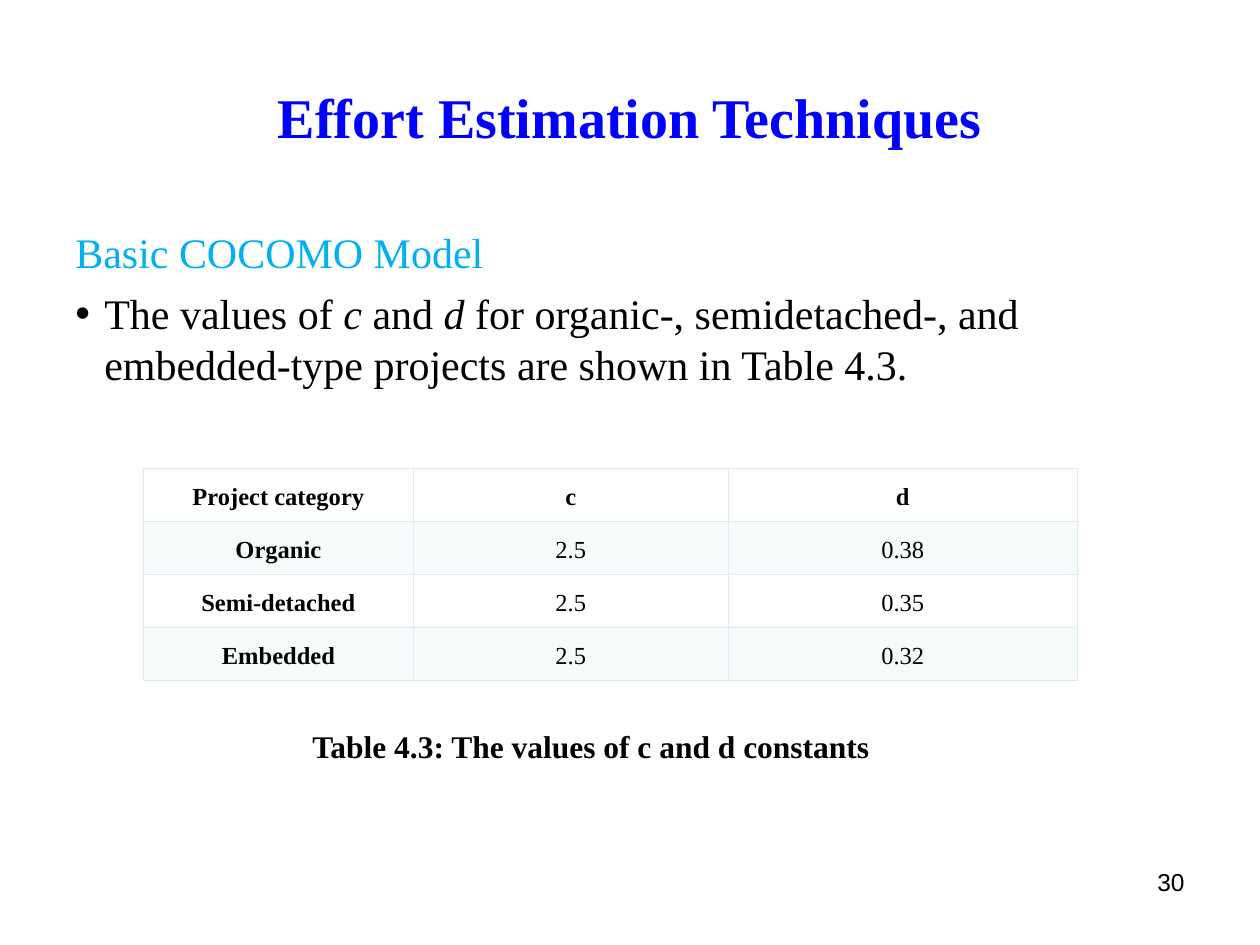
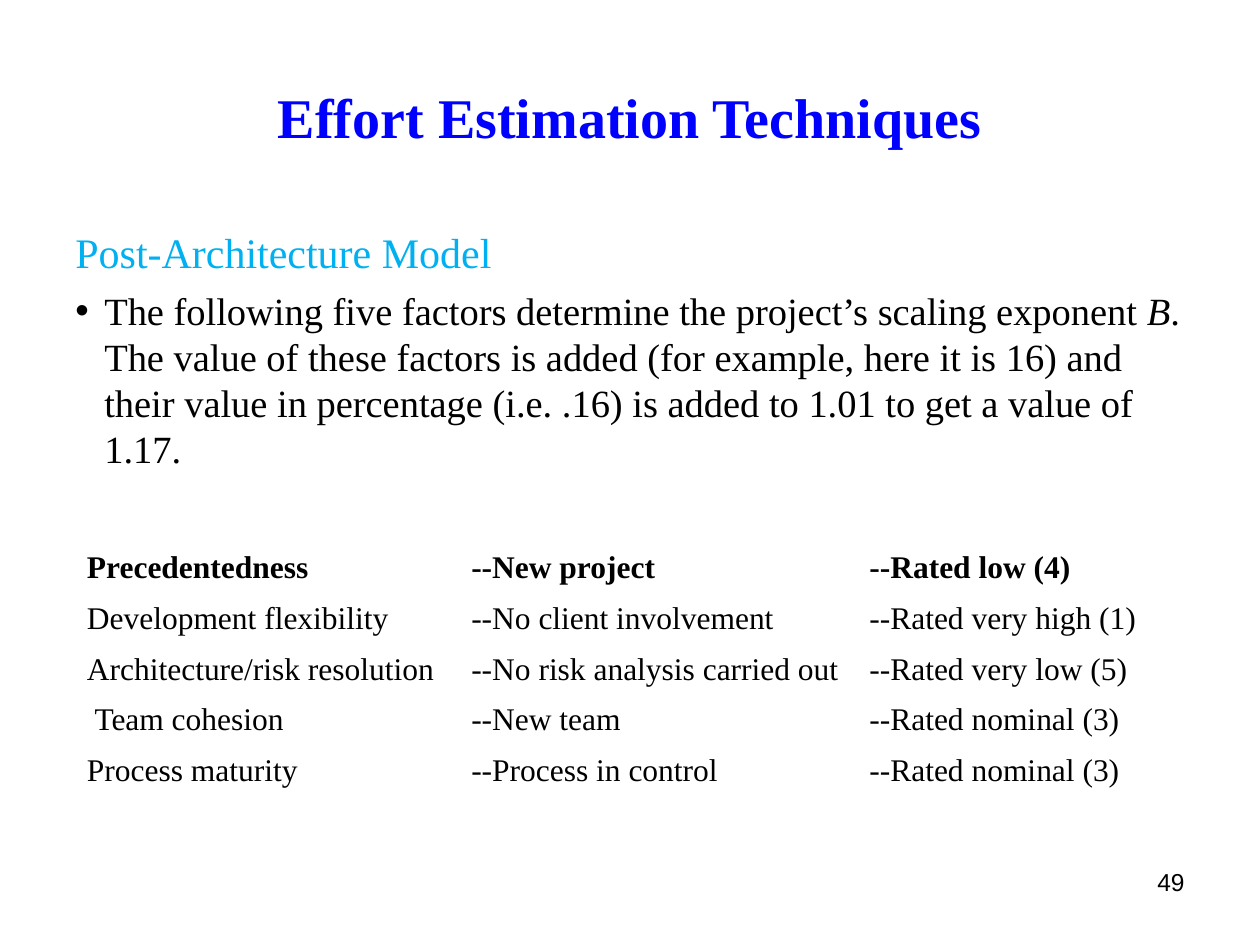
from lxml.etree import SubElement
from pptx import Presentation
from pptx.dml.color import RGBColor
from pptx.enum.text import MSO_ANCHOR, PP_ALIGN
from pptx.oxml.ns import qn
from pptx.util import Inches, Pt

SERIF, SANS = "Times New Roman", "Arial"
COLORS = {"title": "0000FF", "heading": "00B0F0", "text": "000000",
          "border": "DAEDEF", "band": "F8FBFC"}
TITLE = "Effort Estimation Techniques"
LINE_HEIGHT = 1.2
BULLET_INDENT = Inches(0.23)

# Runs are (text, italic).
SLIDES = [
    {
        "heading": "Basic COCOMO Model",
        "bullet": [("The values of ", False), ("c", True), (" and ", False), ("d", True),
                   (" for organic-, semidetached-, and embedded-type projects"
                    " are shown in Table 4.3.", False)],
        "bullet_size": 24,
        "bullet_gap": 6,
        "table": {
            "rows": [("Project category", "c", "d"),
                     ("Organic", "2.5", "0.38"),
                     ("Semi-detached", "2.5", "0.35"),
                     ("Embedded", "2.5", "0.32")],
            "left": 1.14, "top": 3.72, "widths": (2.14, 2.5, 2.77), "row_height": 0.42,
            "size": 14, "align": PP_ALIGN.CENTER, "spacing": 1.15, "margin": 0.08,
            "ruled": True, "bold_first_column": True, "indents": {},
        },
        "caption": "Table 4.3: The values of c and d constants",
        "number": "30",
    },
    {
        "heading": "Post-Architecture Model",
        "bullet": [("The following five factors determine the project’s scaling exponent ", False),
                   ("B", True),
                   (". The value of these factors is added (for example, here it is 16) and"
                    " their value in percentage (i.e. .16) is added to 1.01 to get"
                    " a value of 1.17.", False)],
        "bullet_size": 22,
        "bullet_gap": 5.5,
        "table": {
            "rows": [("Precedentedness", "--New project", "--Rated low (4)"),
                     ("Development flexibility", "--No client involvement", "--Rated very high (1)"),
                     ("Architecture/risk resolution", "--No risk analysis carried out",
                      "--Rated very low (5)"),
                     ("Team cohesion", "--New team", "--Rated nominal (3)"),
                     ("Process maturity", "--Process in control", "--Rated nominal (3)")],
            "left": 0.59, "top": 4.3, "widths": (3.05, 3.16, 2.93), "row_height": 0.405,
            "size": 18, "align": PP_ALIGN.LEFT, "spacing": 1.0, "margin": 0.1,
            "ruled": False, "bold_first_column": False, "indents": {(3, 0): 0.06},
        },
        "caption": None,
        "number": "49",
    },
]


def add_run(paragraph, text, size, color="text", font=SERIF, bold=False, italic=False):
    run = paragraph.add_run()
    run.text = text
    run.font.size = Pt(size)
    run.font.name = font
    run.font.bold = bold
    run.font.italic = italic
    run.font.color.rgb = RGBColor.from_string(COLORS[color])


def add_text_frame(slide, left, top, width, height, wrap=True):
    box = slide.shapes.add_textbox(Inches(left), Inches(top), Inches(width), Inches(height))
    box.text_frame.word_wrap = wrap
    return box.text_frame


def set_bullet(paragraph):
    properties = paragraph._p.get_or_add_pPr()
    properties.set("marL", str(BULLET_INDENT))
    properties.set("indent", str(-BULLET_INDENT))
    SubElement(properties, qn("a:buFont"), typeface=SANS)
    SubElement(properties, qn("a:buChar"), char="•")


def add_title(slide):
    title = slide.shapes.title
    title.left, title.top = Inches(0.5), Inches(0.3)
    title.width, title.height = Inches(9), Inches(1.25)
    title.text_frame.vertical_anchor = MSO_ANCHOR.MIDDLE
    paragraph = title.text_frame.paragraphs[0]
    paragraph.alignment = PP_ALIGN.CENTER
    add_run(paragraph, TITLE, 32, "title", bold=True)


def add_body(slide, content):
    frame = add_text_frame(slide, 0.5, 1.75, 9, 4.95)
    heading = frame.paragraphs[0]
    heading.line_spacing = Pt(24 * LINE_HEIGHT)
    add_run(heading, content["heading"], 24, "heading")

    size = content["bullet_size"]
    bullet = frame.add_paragraph()
    set_bullet(bullet)
    bullet.space_before = Pt(content["bullet_gap"])
    bullet.line_spacing = Pt(size * LINE_HEIGHT)
    for text, italic in content["bullet"]:
        add_run(bullet, text, size, italic=italic)


def set_borders(cell, row):
    """Rule all four sides, with a heavier line under the header row."""
    heavy_side = {0: "B", 1: "T"}.get(row)
    for side in "LRTB":
        width = Pt(0.96 if side == heavy_side else 0.45)
        line = SubElement(cell._tc.get_or_add_tcPr(), qn(f"a:ln{side}"), w=str(width))
        fill = SubElement(line, qn("a:solidFill"))
        SubElement(fill, qn("a:srgbClr"), val=COLORS["border"])


def add_table(slide, layout):
    rows, widths = layout["rows"], layout["widths"]
    row_height = Inches(layout["row_height"])
    table = slide.shapes.add_table(
        len(rows), len(widths), Inches(layout["left"]), Inches(layout["top"]),
        Inches(sum(widths)), row_height * len(rows)).table
    table.first_row = table.horz_banding = False
    for column, width in zip(table.columns, widths):
        column.width = Inches(width)
    for r, texts in enumerate(rows):
        table.rows[r].height = row_height
        for c, text in enumerate(texts):
            cell = table.cell(r, c)
            cell.vertical_anchor = MSO_ANCHOR.MIDDLE
            cell.margin_left = Inches(layout["margin"] + layout["indents"].get((r, c), 0))
            cell.margin_right = Inches(layout["margin"])
            if layout["ruled"]:
                set_borders(cell, r)
            if layout["ruled"] and r % 2:
                cell.fill.solid()
                cell.fill.fore_color.rgb = RGBColor.from_string(COLORS["band"])
            else:
                cell.fill.background()
            paragraph = cell.text_frame.paragraphs[0]
            paragraph.alignment = layout["align"]
            paragraph.line_spacing = layout["spacing"]
            bold = r == 0 or (c == 0 and layout["bold_first_column"])
            add_run(paragraph, text, layout["size"], bold=bold)


def add_page_number(slide, number):
    paragraph = add_text_frame(slide, 7.17, 6.83, 2.33, 0.52).paragraphs[0]
    paragraph.alignment = PP_ALIGN.RIGHT
    add_run(paragraph, number, 14, font=SANS)


def main():
    deck = Presentation()
    deck.slide_width, deck.slide_height = Inches(10), Inches(7.5)
    title_only = deck.slide_layouts[5]
    for content in SLIDES:
        slide = deck.slides.add_slide(title_only)
        add_title(slide)
        add_body(slide, content)
        add_table(slide, content["table"])
        if content["caption"]:
            caption = add_text_frame(slide, 2.38, 5.72, 4.65, 0.4, wrap=False)
            add_run(caption.paragraphs[0], content["caption"], 18, bold=True)
        add_page_number(slide, content["number"])
    deck.save("out.pptx")


if __name__ == "__main__":
    main()
